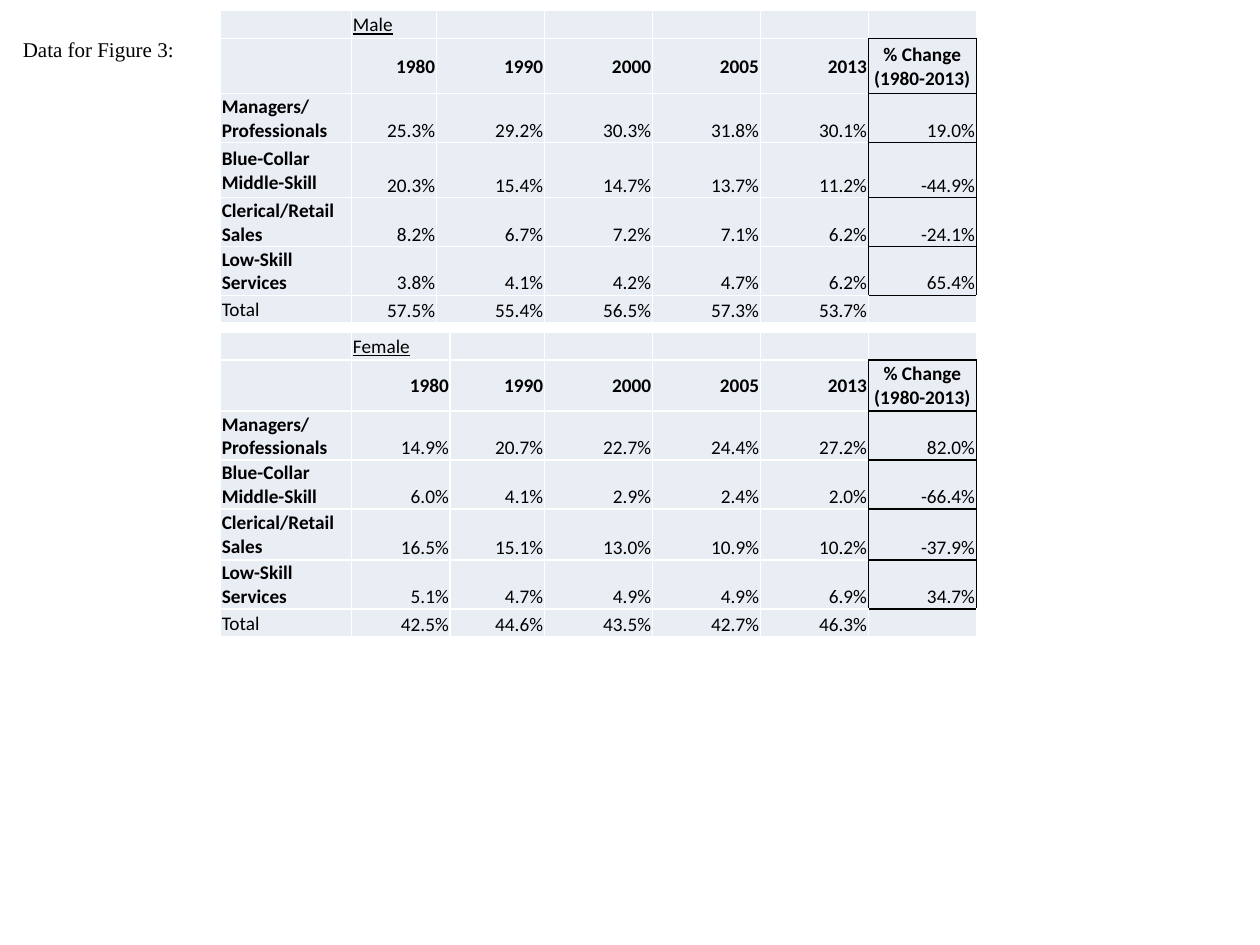
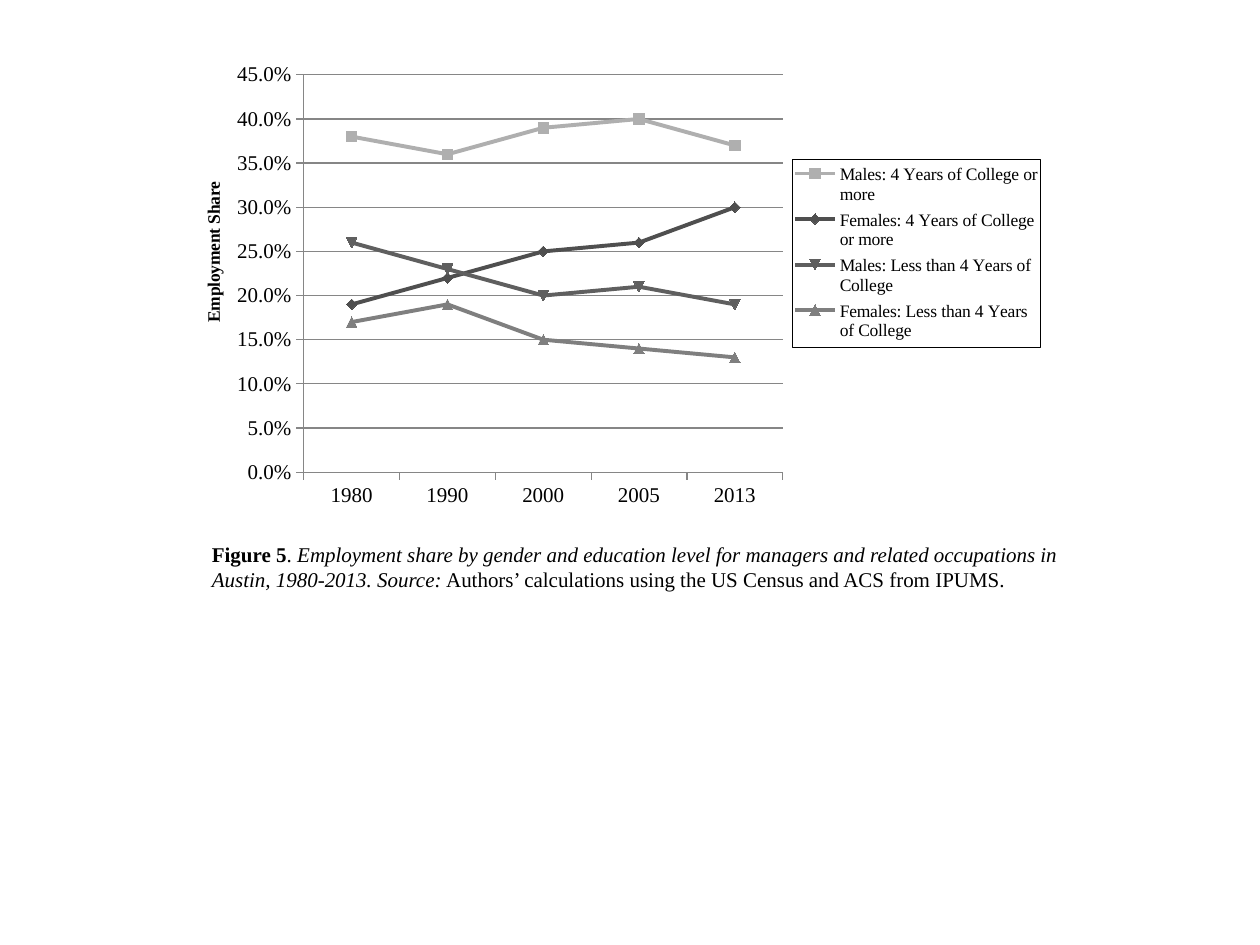
from lxml import etree
from pptx import Presentation, util as u
from pptx.chart.data import CategoryChartData
from pptx.dml.color import RGBColor
from pptx.enum import chart as ch, text as tx
from pptx.oxml import ns

Pt = u.Pt
HUES = {"ink": "000000", "paper": "FFFFFF", "cell": "E9EDF4", "axis": "868686",
        "light": "AFAFAF", "dark": "4F4F4F", "slate": "5F5F5F", "mid": "7F7F7F"}
SERIF, SANS = "Times New Roman", "Calibri"
YEARS = ["1980", "1990", "2000", "2005", "2013"]
JOBS = ["Managers/Professionals", "Blue-Collar Middle-Skill",
        "Clerical/Retail Sales", "Low-Skill Services", "Total"]


def write(para, words, face, size, bold=False, ital=False, under=False):
    run = para.add_run()
    run.text = words
    font = run.font
    font.name, font.size = face, Pt(size)
    font.bold, font.italic, font.underline = bold, ital, under
    font.color.rgb = RGBColor.from_string(HUES["ink"])


def place(part, spot, box, inner=False):
    for old in part.findall(ns.qn("c:layout")):
        part.remove(old)
    lay = etree.Element(ns.qn("c:layout"))
    man = etree.SubElement(lay, ns.qn("c:manualLayout"))
    tags = [("layoutTarget", "inner")] if inner else []
    tags += [("xMode", "edge"), ("yMode", "edge"), *zip("xywh", box)]
    for tag, val in tags:
        etree.SubElement(man, ns.qn("c:" + tag), val=str(val))
    part.insert(spot, lay)


deck = Presentation()
deck.slide_width, deck.slide_height = Pt(720), Pt(540)
blank = deck.slide_layouts[6]
data, plot = [deck.slides.add_slide(blank) for _ in range(2)]

tables = [
    ("Male", 6.1, [75, 48.5, 61.7, 61.7, 61.7, 61.7, 61.7],
     [15.9, 31.5, 23.8, 31.5, 23.8, 23.8, 15.9],
     ["25.3% 29.2% 30.3% 31.8% 30.1% 19.0%",
      "20.3% 15.4% 14.7% 13.7% 11.2% -44.9%",
      "8.2% 6.7% 7.2% 7.1% 6.2% -24.1%",
      "3.8% 4.1% 4.2% 4.7% 6.2% 65.4%",
      "57.5% 55.4% 56.5% 57.3% 53.7%"]),
    ("Female", 190.1, [75, 56.3, 53.9, 61.7, 61.7, 61.7, 61.7],
     [15.6, 29.3, 25.2, 25.2, 29.3, 25.2, 15.8],
     ["14.9% 20.7% 22.7% 24.4% 27.2% 82.0%",
      "6.0% 4.1% 2.9% 2.4% 2.0% -66.4%",
      "16.5% 15.1% 13.0% 10.9% 10.2% -37.9%",
      "5.1% 4.7% 4.9% 4.9% 6.9% 34.7%",
      "42.5% 44.6% 43.5% 42.7% 46.3%"]),
]
for sex, top, wides, highs, rates in tables:
    rows = [["", sex], ["", *YEARS, "% Change (1980-2013)"]]
    rows += [[job, *line.split()] for job, line in zip(JOBS, rates)]
    grid = data.shapes.add_table(7, 7, Pt(126), Pt(top), Pt(sum(wides)), Pt(sum(highs))).table
    grid.first_row = grid.horz_banding = False
    for col, wide in zip(grid.columns, wides):
        col.width = Pt(wide)
    for r, high in enumerate(highs):
        grid.rows[r].height = Pt(high)
        for c in range(7):
            cell = grid.cell(r, c)
            cell.margin_left = cell.margin_right = cell.margin_top = Pt(0.75)
            cell.margin_bottom = 0
            number = r > 1 and c > 0
            cell.vertical_anchor = tx.MSO_ANCHOR.BOTTOM if number else tx.MSO_ANCHOR.MIDDLE
            boxed = c == 6 and 1 <= r <= 5
            black = {"L": boxed, "R": boxed or (c == 5 and 1 <= r <= 5),
                     "T": boxed or (c == 6 and r == 6), "B": boxed or (c == 6 and r == 0)}
            props = cell._tc.get_or_add_tcPr()
            for side, dark in black.items():
                edge = etree.SubElement(props, ns.qn("a:ln" + side), w=str(Pt(1)))
                fill = etree.SubElement(edge, ns.qn("a:solidFill"))
                etree.SubElement(fill, ns.qn("a:srgbClr"), val=HUES["ink" if dark else "paper"])
            cell.fill.solid()
            cell.fill.fore_color.rgb = RGBColor.from_string(HUES["cell"])
            para = cell.text_frame.paragraphs[0]
            words = rows[r][c] if c < len(rows[r]) else ""
            if not words:
                etree.SubElement(para._p, ns.qn("a:endParaRPr"), sz="1100")
                continue
            if r == 1 and c == 6:
                para.alignment = tx.PP_ALIGN.CENTER
            elif r > 0 and c > 0:
                para.alignment = tx.PP_ALIGN.RIGHT
            bold = r == 1 or (c == 0 and r < 6)
            write(para, words, SANS, 11, bold=bold, under=r == 0)

notes = [
    (data, (6, 17.5, 114, 21.8), [("Data for Figure 3:", False, False)]),
    (plot, (114, 306, 498, 36), [
        ("Figure 5", True, False), (".", False, False),
        (" Employment share by gender and education level for managers and related "
         "occupations in Austin, 1980-2013. Source:", False, True),
        (" Authors’ calculations using the US Census and ACS from IPUMS.", False, False)]),
]
for slide, box, runs in notes:
    frame = slide.shapes.add_textbox(*map(Pt, box)).text_frame
    frame.word_wrap = True
    for words, bold, ital in runs:
        write(frame.paragraphs[0], words, SERIF, 12, bold, ital)

lines = [
    ("Males: 4 Years of College or more", "light", [0.38, 0.36, 0.39, 0.4, 0.37]),
    ("Females: 4 Years of College or more", "dark", [0.19, 0.22, 0.25, 0.26, 0.3]),
    ("Males: Less than 4 Years of College", "slate", [0.26, 0.23, 0.2, 0.21, 0.19]),
    ("Females: Less than 4 Years of College", "mid", [0.17, 0.19, 0.15, 0.14, 0.13]),
]
stats = CategoryChartData(number_format="0.0%")
stats.categories = YEARS
for name, hue, vals in lines:
    stats.add_series(name, vals)
chart = plot.shapes.add_chart(ch.XL_CHART_TYPE.LINE_MARKERS, Pt(96), 0, Pt(504), Pt(324), stats).chart
chart.has_title = False
chart.font.name, chart.font.size = SERIF, Pt(12)
chart.font.color.rgb = RGBColor.from_string(HUES["ink"])
chart.plots[0].vary_by_categories = False
for line, (name, hue, vals) in zip(chart.plots[0].series, lines):
    tone = RGBColor.from_string(HUES[hue])
    line.smooth = False
    line.format.line.width = Pt(2.25)
    line.format.line.color.rgb = tone
    mark = line.marker
    mark.size = 6
    mark.format.fill.solid()
    mark.format.fill.fore_color.rgb = tone
    mark.format.line.color.rgb = tone

cats, vals = chart.category_axis, chart.value_axis
vals.minimum_scale, vals.maximum_scale, vals.major_unit = 0, 0.45, 0.05
vals.has_major_gridlines = True
vals.tick_labels.number_format = "0.0%"
vals.tick_labels.number_format_is_linked = False
write(vals.axis_title.text_frame.paragraphs[0], "Employment Share", SERIF, 10, bold=True)
place(vals.axis_title._element, 1, (0.035, 0.315))
for axis in (cats, vals):
    axis.major_tick_mark = ch.XL_TICK_MARK.OUTSIDE
    axis.minor_tick_mark = ch.XL_TICK_MARK.NONE
for item in (cats, vals, vals.major_gridlines):
    item.format.line.width = Pt(0.75)
    item.format.line.color.rgb = RGBColor.from_string(HUES["axis"])

chart.has_legend = True
key = chart.legend
key.position = ch.XL_LEGEND_POSITION.RIGHT
key.include_in_layout = False
key.font.name, key.font.size = SERIF, Pt(10)
key.font.color.rgb = RGBColor.from_string(HUES["ink"])
place(key._element, 1, (0.708, 0.28, 0.281, 0.332))
props = etree.Element(ns.qn("c:spPr"))
edge = etree.SubElement(props, ns.qn("a:ln"), w=str(Pt(0.25)))
fill = etree.SubElement(edge, ns.qn("a:solidFill"))
etree.SubElement(fill, ns.qn("a:srgbClr"), val=HUES["ink"])
key._element.find(ns.qn("c:txPr")).addprevious(props)
area = chart._chartSpace.find(".//" + ns.qn("c:plotArea"))
place(area, 0, (0.154, 0.132, 0.543, 0.701), inner=True)

deck.save("out.pptx")
